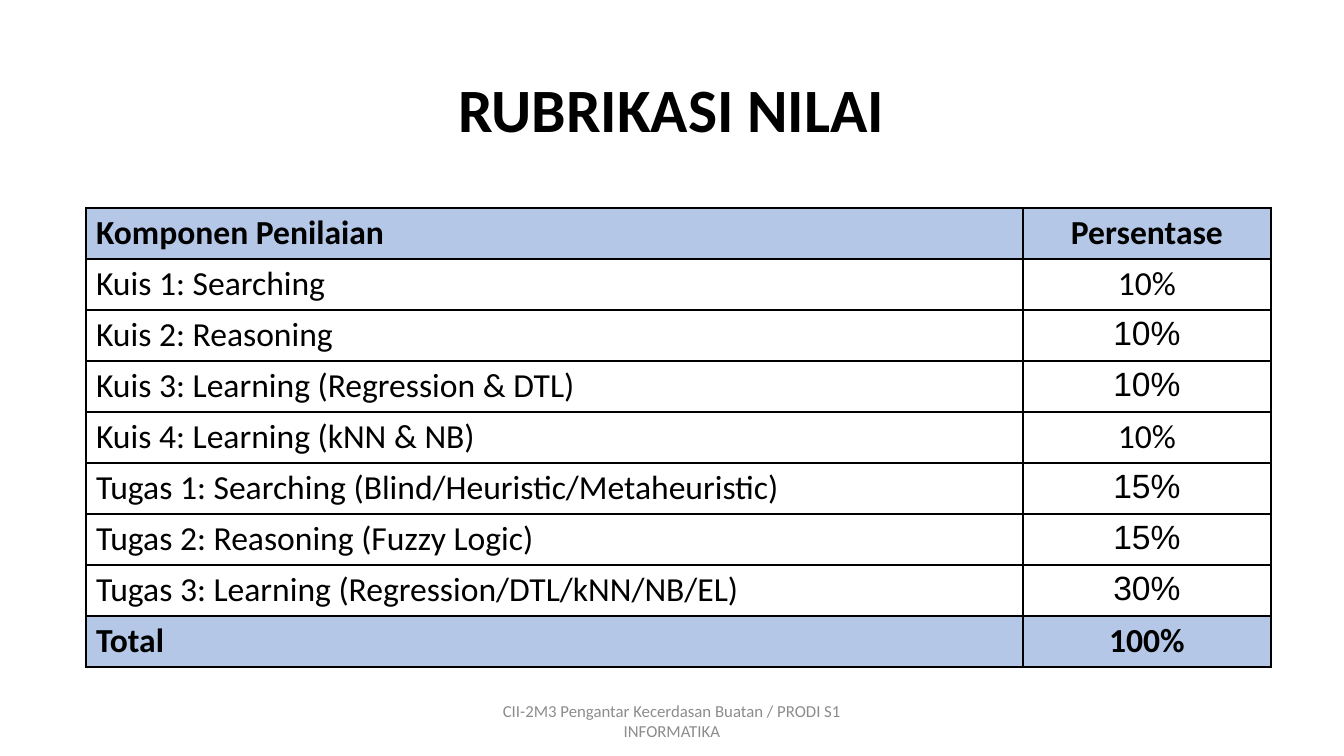
from lxml.etree import SubElement
from pptx import Presentation
from pptx.dml.color import RGBColor
from pptx.enum.text import MSO_ANCHOR, PP_ALIGN
from pptx.oxml.ns import qn
from pptx.util import Pt

TITLE = "RUBRIKASI NILAI"
FOOTER = "CII-2M3 Pengantar Kecerdasan Buatan / PRODI S1 INFORMATIKA"
HEADER = ("Komponen Penilaian", "Persentase", "Calibri")
COMPONENTS = [
    ("Kuis 1: Searching", "10%", "Calibri"),
    ("Kuis 2: Reasoning", "10%", "Arial"),
    ("Kuis 3: Learning (Regression & DTL)", "10%", "Arial"),
    ("Kuis 4: Learning (kNN & NB)", "10%", "Calibri"),
    ("Tugas 1: Searching (Blind/Heuristic/Metaheuristic)", "15%", "Arial"),
    ("Tugas 2: Reasoning (Fuzzy Logic)", "15%", "Arial"),
    ("Tugas 3: Learning (Regression/DTL/kNN/NB/EL)", "30%", "Arial"),
]
TOTAL = ("Total", "100%", "Calibri")
RUBRIC = [HEADER, *COMPONENTS, TOTAL]

THEME = {
    "font": "Calibri",
    "ink": "000000",
    "muted": "8C8C8C",
    "band": "B4C7E7",
    "title_size": 44,
    "table_size": 24,
    "footer_size": 12,
    "border": 1,
}

SLIDE_SIZE = (1344, 756)
TITLE_BOX = (92, 40, 1159, 146)
FOOTER_BOX = (445, 701, 454, 40)
TABLE_LEFT, TABLE_TOP = 86, 208
COLUMN_WIDTHS = (937, 248)
ROW_HEIGHT = 51


def px(length):
    return round(length * 914400 / 100.8)


def write(frame, text, *, size, font=THEME["font"], color=THEME["ink"],
          bold=False, align=PP_ALIGN.CENTER, spacing=None):
    paragraph = frame.paragraphs[0]
    paragraph.alignment = align
    if spacing:
        paragraph.line_spacing = spacing
    run = paragraph.add_run()
    run.text = text
    run.font.name = font
    run.font.size = Pt(size)
    run.font.bold = bold
    run.font.color.rgb = RGBColor.from_string(color)


def add_label(slide, box, text, **style):
    frame = slide.shapes.add_textbox(*map(px, box)).text_frame
    frame.word_wrap = True
    frame.vertical_anchor = MSO_ANCHOR.MIDDLE
    write(frame, text, **style)


def add_borders(cell):
    properties = cell._tc.get_or_add_tcPr()
    for side in ("a:lnL", "a:lnR", "a:lnT", "a:lnB"):
        line = SubElement(properties, qn(side), w=str(Pt(THEME["border"])))
        fill = SubElement(line, qn("a:solidFill"))
        SubElement(fill, qn("a:srgbClr"), val=THEME["ink"])


def add_rubric(slide):
    height = ROW_HEIGHT * len(RUBRIC)
    rubric = slide.shapes.add_table(
        len(RUBRIC), len(COLUMN_WIDTHS), px(TABLE_LEFT), px(TABLE_TOP),
        px(sum(COLUMN_WIDTHS)), px(height)).table
    rubric.first_row = False
    rubric.horz_banding = False
    for column, width in zip(rubric.columns, COLUMN_WIDTHS):
        column.width = px(width)
    for row, (component, share, share_font) in enumerate(RUBRIC):
        rubric.rows[row].height = px(ROW_HEIGHT)
        emphasized = row in (0, len(RUBRIC) - 1)
        entries = [(component, THEME["font"], PP_ALIGN.LEFT),
                   (share, share_font, PP_ALIGN.CENTER)]
        for column, (text, font, align) in enumerate(entries):
            cell = rubric.cell(row, column)
            add_borders(cell)
            if emphasized:
                cell.fill.solid()
                cell.fill.fore_color.rgb = RGBColor.from_string(THEME["band"])
            else:
                cell.fill.background()
            write(cell.text_frame, text, size=THEME["table_size"],
                  font=font, bold=emphasized, align=align)


def main():
    deck = Presentation()
    deck.slide_width, deck.slide_height = map(px, SLIDE_SIZE)
    slide = deck.slides.add_slide(deck.slide_layouts[6])
    add_label(slide, TITLE_BOX, TITLE, size=THEME["title_size"],
              bold=True, spacing=0.9)
    add_rubric(slide)
    add_label(slide, FOOTER_BOX, FOOTER, size=THEME["footer_size"],
              color=THEME["muted"])
    deck.save("out.pptx")


if __name__ == "__main__":
    main()
